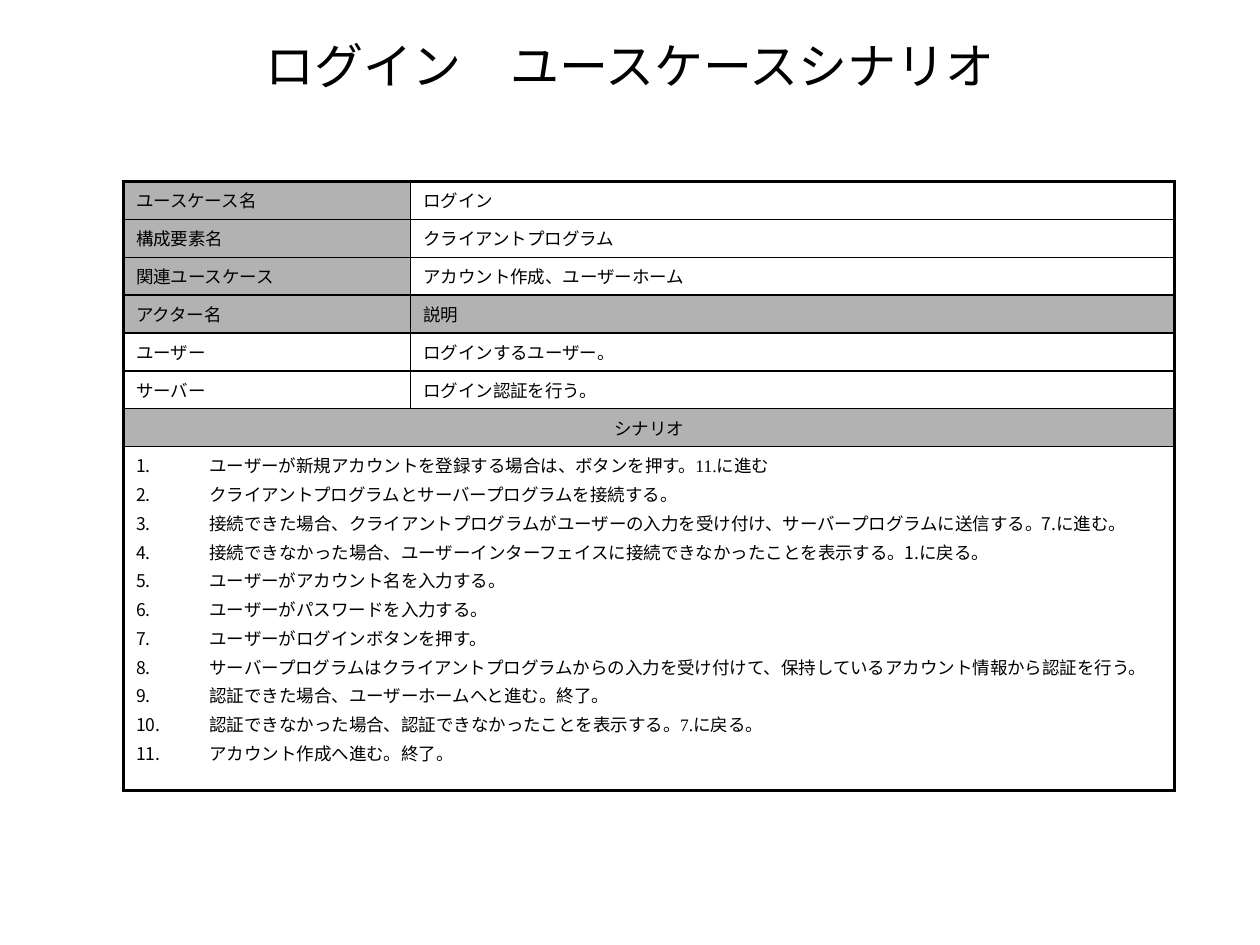
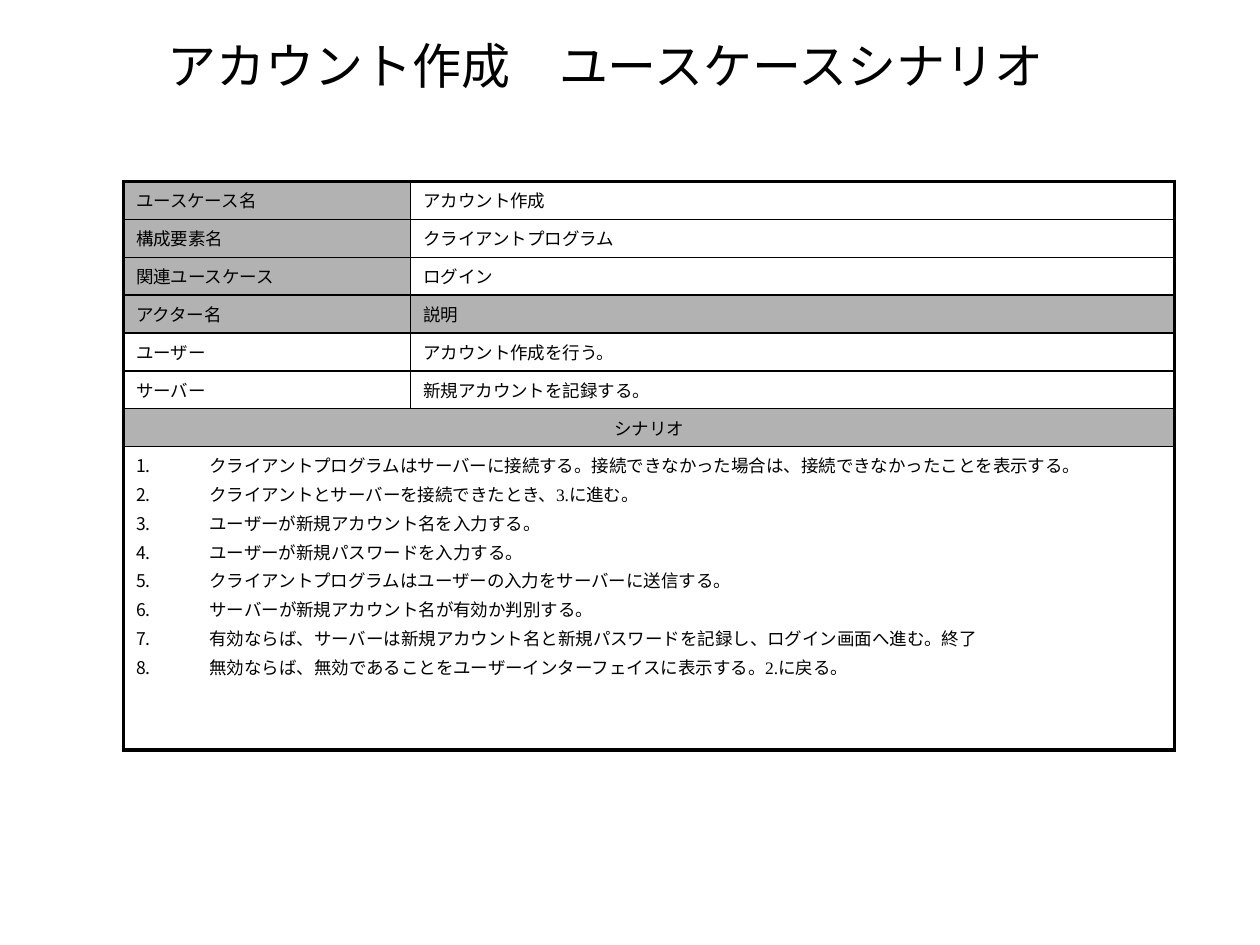
from dataclasses import dataclass
from typing import NamedTuple

from lxml.etree import SubElement
from pptx import Presentation
from pptx.dml.color import RGBColor
from pptx.enum.text import MSO_ANCHOR, PP_ALIGN
from pptx.oxml.ns import qn
from pptx.presentation import Presentation as Deck
from pptx.slide import Slide
from pptx.table import Table, _Cell
from pptx.text.text import _Paragraph
from pptx.util import Cm, Pt

BLACK = RGBColor(0x00, 0x00, 0x00)
HEADING_GREY = RGBColor(0xB2, 0xB2, 0xB2)

SERIF = "Times New Roman"
GOTHIC = "Noto Sans CJK JP"

TITLE_SIZE = Pt(28)
TEXT_SIZE = Pt(10)
STEP_GAP = Pt(2)
OUTER_LINE = Pt(2.25)
INNER_LINE = Pt(1)

TITLE_ONLY_LAYOUT = 5
COLUMN_WIDTHS = (Cm(5.79), Cm(15.4))
ROW_HEIGHT = Cm(0.76)
STEP_INDENT = Cm(1.48)


class Step(NamedTuple):
    text: str
    font: str = SERIF


class Entry(NamedTuple):
    label: str
    detail: str
    label_shaded: bool = False
    detail_shaded: bool = False


@dataclass(frozen=True)
class UseCase:
    title: str
    title_font: str
    name: str
    related: str
    user_role: str
    server_role: str
    steps: tuple[Step, ...]
    steps_height: Cm

    def entries(self) -> list[Entry]:
        return [
            Entry("ユースケース名", self.name, True),
            Entry("構成要素名", "クライアントプログラム", True),
            Entry("関連ユースケース", self.related, True),
            Entry("アクター名", "説明", True, True),
            Entry("ユーザー", self.user_role),
            Entry("サーバー", self.server_role),
        ]


USE_CASES = (
    UseCase(
        title="ログイン\u3000ユースケースシナリオ",
        title_font=GOTHIC,
        name="ログイン",
        related="アカウント作成、ユーザーホーム",
        user_role="ログインするユーザー。",
        server_role="ログイン認証を行う。",
        steps=(
            Step("ユーザーが新規アカウントを登録する場合は、ボタンを押す。11.に進む"),
            Step("クライアントプログラムとサーバープログラムを接続する。", GOTHIC),
            Step("接続できた場合、クライアントプログラムがユーザーの入力を受け付け、"
                 "サーバープログラムに送信する。7.に進む。", GOTHIC),
            Step("接続できなかった場合、ユーザーインターフェイスに"
                 "接続できなかったことを表示する。1.に戻る。", GOTHIC),
            Step("ユーザーがアカウント名を入力する。"),
            Step("ユーザーがパスワードを入力する。"),
            Step("ユーザーがログインボタンを押す。"),
            Step("サーバープログラムはクライアントプログラムからの入力を受け付けて、"
                 "保持しているアカウント情報から認証を行う。"),
            Step("認証できた場合、ユーザーホームへと進む。終了。"),
            Step("認証できなかった場合、認証できなかったことを表示する。7.に戻る。"),
            Step("アカウント作成へ進む。終了。"),
        ),
        steps_height=Cm(6.93),
    ),
    UseCase(
        title="アカウント作成\u3000ユースケースシナリオ\u3000",
        title_font=SERIF,
        name="アカウント作成",
        related="ログイン",
        user_role="アカウント作成を行う。",
        server_role="新規アカウントを記録する。",
        steps=(
            Step("クライアントプログラムはサーバーに接続する。"
                 "接続できなかった場合は、接続できなかったことを表示する。"),
            Step("クライアントとサーバーを接続できたとき、3.に進む。"),
            Step("ユーザーが新規アカウント名を入力する。"),
            Step("ユーザーが新規パスワードを入力する。"),
            Step("クライアントプログラムはユーザーの入力をサーバーに送信する。"),
            Step("サーバーが新規アカウント名が有効か判別する。"),
            Step("有効ならば、サーバーは新規アカウント名と新規パスワードを記録し、"
                 "ログイン画面へ進む。終了"),
            Step("無効ならば、無効であることをユーザーインターフェイスに表示する。2.に戻る。"),
        ),
        steps_height=Cm(6.12),
    ),
)


def add_text(paragraph: _Paragraph, text: str, size: Pt, font: str = SERIF) -> None:
    run = paragraph.add_run()
    run.text = text
    run.font.size = size
    run.font.bold = False
    run.font.name = font
    run.font.color.rgb = BLACK
    SubElement(run.font._element, qn("a:ea"), typeface=GOTHIC)


def add_title(slide: Slide, use_case: UseCase) -> None:
    title = slide.shapes.title
    title.left, title.top = Cm(1.9), Cm(0.69)
    title.width, title.height = Cm(21.6), Cm(1.22)
    title.text_frame.vertical_anchor = MSO_ANCHOR.MIDDLE
    heading = title.text_frame.paragraphs[0]
    heading.alignment = PP_ALIGN.CENTER
    add_text(heading, use_case.title, TITLE_SIZE, use_case.title_font)


def draw_borders(cell: _Cell, edges: dict[str, Pt]) -> None:
    properties = cell._tc.get_or_add_tcPr()
    for side, width in edges.items():
        line = SubElement(properties, qn(f"a:ln{side}"), w=str(int(width)))
        solid = SubElement(line, qn("a:solidFill"))
        SubElement(solid, qn("a:srgbClr"), val=str(BLACK))


def draw_grid(table: Table) -> None:
    last_row, last_column = len(table.rows) - 1, len(table.columns) - 1
    for row in range(last_row + 1):
        for column in range(last_column + 1):
            cell = table.cell(row, column)
            spans_row = cell.is_merge_origin
            outer = {
                "L": column == 0,
                "R": column == last_column or spans_row,
                "T": row == 0,
                "B": row == last_row,
            }
            draw_borders(cell, {side: OUTER_LINE if is_outer else INNER_LINE
                                for side, is_outer in outer.items()})


def shade(cell: _Cell, shaded: bool) -> None:
    if shaded:
        cell.fill.solid()
        cell.fill.fore_color.rgb = HEADING_GREY
    else:
        cell.fill.background()


def fill_cell(cell: _Cell, text: str, shaded: bool,
              alignment: PP_ALIGN = PP_ALIGN.LEFT) -> None:
    shade(cell, shaded)
    paragraph = cell.text_frame.paragraphs[0]
    paragraph.alignment = alignment
    add_text(paragraph, text, TEXT_SIZE)


def fill_steps(cell: _Cell, steps: tuple[Step, ...]) -> None:
    shade(cell, False)
    for index, step in enumerate(steps):
        if index == 0:
            paragraph = cell.text_frame.paragraphs[0]
        else:
            paragraph = cell.text_frame.add_paragraph()
            paragraph.space_before = STEP_GAP
        properties = paragraph._p.get_or_add_pPr()
        properties.set("marL", str(int(STEP_INDENT)))
        properties.set("indent", str(-int(STEP_INDENT)))
        SubElement(properties, qn("a:buFont"), typeface=GOTHIC)
        SubElement(properties, qn("a:buAutoNum"), type="arabicPeriod")
        add_text(paragraph, step.text, TEXT_SIZE, step.font)


def add_scenario_table(slide: Slide, use_case: UseCase) -> None:
    entries = use_case.entries()
    heading_row = len(entries)
    steps_row = heading_row + 1
    height = ROW_HEIGHT * steps_row + use_case.steps_height
    table = slide.shapes.add_table(steps_row + 1, len(COLUMN_WIDTHS), Cm(2.49), Cm(3.66),
                                   sum(COLUMN_WIDTHS), height).table
    table.first_row = False
    table.horz_banding = False
    for column, width in zip(table.columns, COLUMN_WIDTHS):
        column.width = width
    for row in table.rows:
        row.height = ROW_HEIGHT
    table.rows[steps_row].height = use_case.steps_height
    for row in (heading_row, steps_row):
        table.cell(row, 0).merge(table.cell(row, 1))

    draw_grid(table)
    for row, entry in enumerate(entries):
        fill_cell(table.cell(row, 0), entry.label, entry.label_shaded)
        fill_cell(table.cell(row, 1), entry.detail, entry.detail_shaded)
    fill_cell(table.cell(heading_row, 0), "シナリオ", True, PP_ALIGN.CENTER)
    fill_steps(table.cell(steps_row, 0), use_case.steps)


def add_use_case_slide(deck: Deck, use_case: UseCase) -> None:
    slide = deck.slides.add_slide(deck.slide_layouts[TITLE_ONLY_LAYOUT])
    add_title(slide, use_case)
    add_scenario_table(slide, use_case)


def main() -> None:
    deck = Presentation()
    deck.slide_width, deck.slide_height = Cm(25.4), Cm(19.05)
    for use_case in USE_CASES:
        add_use_case_slide(deck, use_case)
    deck.save("out.pptx")


main()
